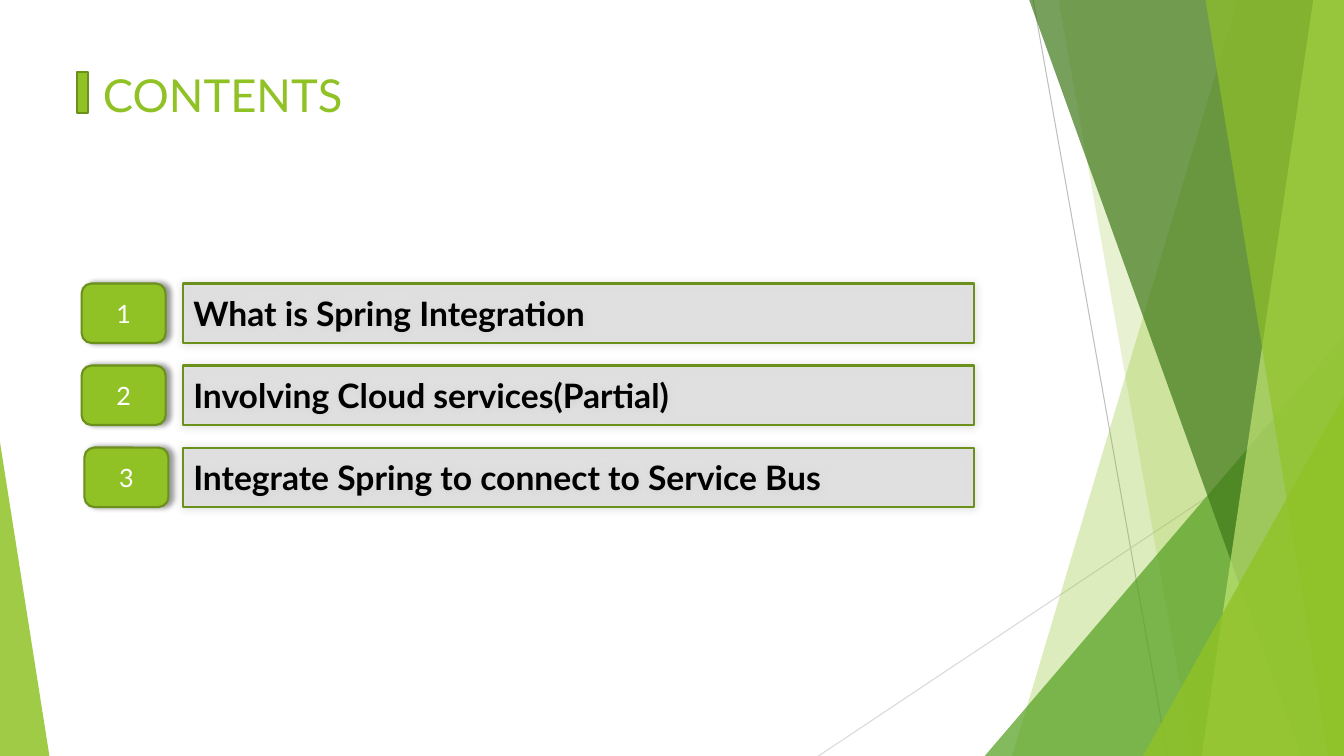
from dataclasses import dataclass

from lxml.etree import SubElement
from pptx import Presentation
from pptx.dml.color import RGBColor
from pptx.enum.shapes import MSO_CONNECTOR, MSO_SHAPE
from pptx.enum.text import MSO_ANCHOR, PP_ALIGN
from pptx.oxml.ns import qn
from pptx.util import Pt


@dataclass(frozen=True)
class Theme:
    """Colours, font and type sizes of the slide."""
    green: str = "90C226"
    mid_green: str = "54A021"
    dark_green: str = "3F7819"
    pale_green: str = "C0E474"
    outline: str = "6B901C"
    bar: str = "D9D9D9"
    light_line: str = "D9D9D9"
    grey_line: str = "BFBFBF"
    black: str = "000000"
    white: str = "FFFFFF"
    font: str = "Lato"
    title_size: float = 32.4
    number_size: float = 18
    topic_size: float = 24


theme = Theme()
WIDTH, HEIGHT = 960, 540


def paint(shape, colour, opacity=100, outlined=False, shadow=None):
    """Set fill, outline and an optional (opacity, blur, distance, angle) shadow."""
    shape.shadow.inherit = False
    shape.fill.solid()
    shape.fill.fore_color.rgb = RGBColor.from_string(colour)
    if opacity < 100:
        fill = shape.element.spPr.find(qn("a:solidFill"))
        SubElement(fill[0], qn("a:alpha"), val=str(opacity * 1000))
    if outlined:
        shape.line.color.rgb = RGBColor.from_string(theme.outline)
        shape.line.width = Pt(1.5)
    else:
        shape.line.fill.background()
    if shadow:
        strength, blur, distance, angle = shadow
        effects = shape.element.spPr.find(qn("a:effectLst"))
        outer = SubElement(effects, qn("a:outerShdw"), blurRad=str(Pt(blur)),
                           dist=str(Pt(distance)), dir=str(angle * 60000),
                           algn="ctr", rotWithShape="0")
        tint = SubElement(outer, qn("a:srgbClr"), val=theme.black)
        SubElement(tint, qn("a:alpha"), val=str(strength * 1000))


def write(shape, text, size, colour, align=PP_ALIGN.LEFT,
          anchor=MSO_ANCHOR.MIDDLE, bold=False):
    """Put one run of text in a shape."""
    frame = shape.text_frame
    frame.word_wrap = True
    frame.vertical_anchor = anchor
    para = frame.paragraphs[0]
    para.alignment = align
    span = para.add_run()
    span.text = text
    span.font.name = theme.font
    span.font.size = Pt(size)
    span.font.bold = bold
    span.font.color.rgb = RGBColor.from_string(colour)


deck = Presentation()
deck.slide_width, deck.slide_height = Pt(WIDTH), Pt(HEIGHT)
page = deck.slides.add_slide(deck.slide_layouts[6])
shapes = page.shapes

# Thin lines behind the facets
for x1, y1, x2, y2, colour in [
    (738, 0, 834, HEIGHT, theme.grey_line),
    (WIDTH, 290, 584.6, HEIGHT, theme.light_line),
]:
    line = shapes.add_connector(MSO_CONNECTOR.STRAIGHT, Pt(x1), Pt(y1), Pt(x2), Pt(y2))
    line.line.color.rgb = RGBColor.from_string(colour)
    line.line.width = Pt(0.75)
    SubElement(line.element.spPr, qn("a:effectLst"))

# Facets reach the right edge: top-left x (WIDTH for a triangle), top y, bottom-left x
for top_x, top_y, bottom_x, colour, opacity in [
    (884.2, -0.6, 723, theme.green, 30),
    (756, -0.6, 852, theme.green, 20),
    (WIDTH, 240, 703.4, theme.mid_green, 72),
    (735, -0.6, 929.4, theme.dark_green, 70),
    (938.2, -0.6, 858.4, theme.pale_green, 70),
    (861, -0.6, 949, theme.green, 65),
    (WIDTH, 283, 816.5, theme.green, 80),
]:
    if top_x == WIDTH:
        facet = shapes.add_shape(MSO_SHAPE.ISOSCELES_TRIANGLE, Pt(bottom_x), Pt(top_y),
                                 Pt(WIDTH - bottom_x), Pt(HEIGHT - top_y))
        facet.adjustments[0] = 1
    else:
        outline = shapes.build_freeform(Pt(top_x), Pt(top_y))
        outline.add_line_segments([(Pt(WIDTH), Pt(top_y)), (Pt(WIDTH), Pt(HEIGHT)),
                                   (Pt(bottom_x), Pt(HEIGHT))])
        facet = outline.convert_to_shape()
    paint(facet, colour, opacity)

left_facet = shapes.add_shape(MSO_SHAPE.ISOSCELES_TRIANGLE,
                              Pt(0), Pt(316), Pt(35.3), Pt(224))
left_facet.adjustments[0] = 0
paint(left_facet, theme.green, 85)

# Title and its marker
title = shapes.add_textbox(Pt(66.5), Pt(44.6), Pt(196.5), Pt(42.5))
write(title, "CONTENTS", theme.title_size, theme.green, anchor=MSO_ANCHOR.TOP)
marker = shapes.add_shape(MSO_SHAPE.RECTANGLE, Pt(54.8), Pt(51.6), Pt(8), Pt(29))
paint(marker, theme.green, outlined=True)

# Numbered topics
ROW_TOP, ROW_PITCH, ROW_HEIGHT = 202.5, 58.6, 42.5
topics = [
    ("What is Spring Integration", 58.3),
    ("Involving Cloud services(Partial)", 58.3),
    ("Integrate Spring to connect to Service Bus", 60.3),
]
for row, (topic, badge_left) in enumerate(topics):
    top = ROW_TOP + row * ROW_PITCH
    badge = shapes.add_shape(MSO_SHAPE.ROUNDED_RECTANGLE, Pt(badge_left), Pt(top),
                             Pt(60), Pt(ROW_HEIGHT))
    paint(badge, theme.green, outlined=True, shadow=(40, 4, 3, 0))
    write(badge, str(row + 1), theme.number_size, theme.white, align=PP_ALIGN.CENTER)

    bar = shapes.add_shape(MSO_SHAPE.RECTANGLE, Pt(131), Pt(top), Pt(565), Pt(ROW_HEIGHT))
    paint(bar, theme.bar, 48, outlined=True, shadow=(20, 6, 0, 315))
    write(bar, topic, theme.topic_size, theme.black, bold=True)

deck.save("out.pptx")
